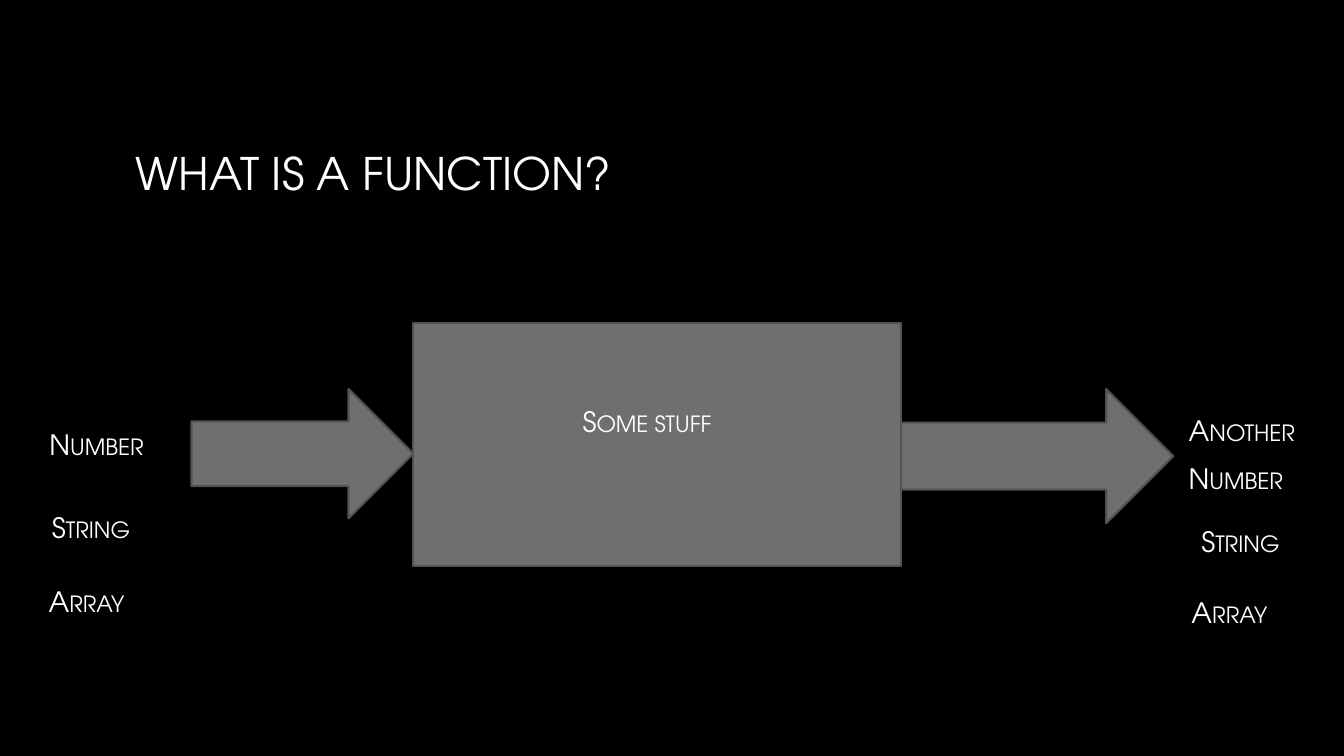
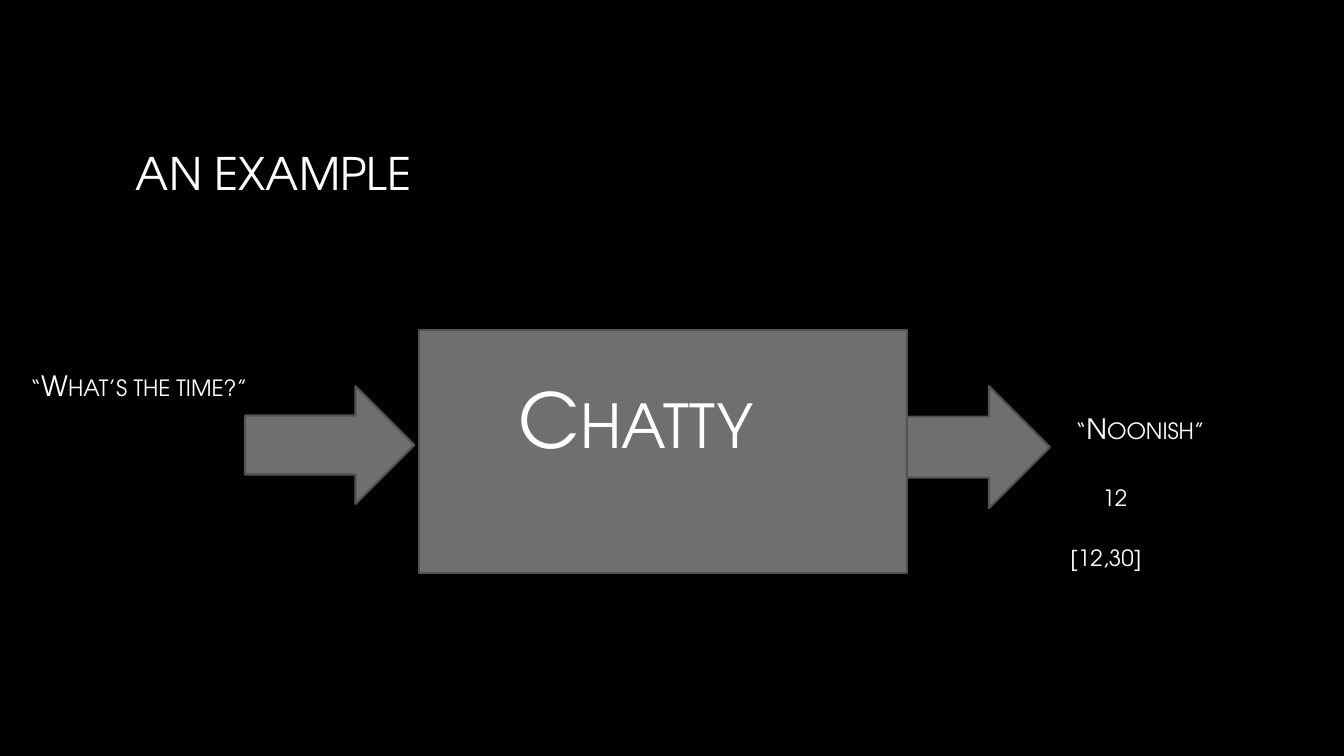
"""Build two slides that explain a function as inputs, a box and outputs."""
from dataclasses import dataclass

from pptx import Presentation
from pptx.dml.color import RGBColor
from pptx.enum.shapes import MSO_SHAPE
from pptx.enum.text import MSO_ANCHOR, MSO_AUTO_SIZE
from pptx.util import Pt


@dataclass(frozen=True)
class Theme:
    font: str = "TeX Gyre Adventor"
    background: RGBColor = RGBColor(0x00, 0x00, 0x00)
    text: RGBColor = RGBColor(0xFF, 0xFF, 0xFF)
    fill: RGBColor = RGBColor(0x6F, 0x6F, 0x6F)
    outline: RGBColor = RGBColor(0x52, 0x52, 0x52)
    outline_width: float = 1.5
    title_size: int = 32
    label_size: int = 20
    name_size: int = 54
    before_ratio: float = 0.2
    space_after: int = 6


THEME = Theme()
SLIDE_SIZE = (960, 540)
TITLE_AREA = (90, 48, 780, 150)
BOX_SIZE = (348.5, 173.5)
LABEL_SIZE = (142, 79)

SLIDES = [
    {
        "title": "WHAT IS A FUNCTION?",
        "box": (295.2, 231),
        "arrow_top": 277.9,
        "arrow_in": {"gap": 0, "size": (158.4, 92.4)},
        "arrow_out": {"size": (194.4, 95.8)},
        "name": ("Some stuff", (409, 261.4, *LABEL_SIZE), THEME.label_size),
        "labels": [
            ("Number", (28.2, 278, *LABEL_SIZE)),
            ("String", (30, 337, *LABEL_SIZE)),
            ("Array", (27.6, 389.7, *LABEL_SIZE)),
            ("Another\nNumber", (842, 285, *LABEL_SIZE)),
            ("String", (851, 347.2, *LABEL_SIZE)),
            ("Array", (844, 397.5, *LABEL_SIZE)),
        ],
    },
    {
        "title": "AN EXAMPLE",
        "box": (299.3, 235.8),
        "arrow_top": 275.8,
        "arrow_in": {"gap": 3.3, "size": (121, 84.2)},
        "arrow_out": {"size": (102.2, 87.1)},
        "name": ("Chatty", (363.6, 271.4, 205.2, 55.4), THEME.name_size),
        "labels": [
            ("“What’s the time?”", (14.4, 211, 242.6, 128.9)),
            ("“Noonish”", (761, 252, 133.9, 108)),
            ("12", (780.5, 289.4, 54.7, 128.9)),
            ("[12,30]", (757.4, 364.3, 87.8, 64.8)),
        ],
    },
]


def add_text(page, text, area, *, size, small_caps=True, before=0, after=0):
    frame = page.shapes.add_textbox(*map(Pt, area)).text_frame
    frame.word_wrap = True
    frame.auto_size = MSO_AUTO_SIZE.NONE
    frame.vertical_anchor = MSO_ANCHOR.MIDDLE
    for index, line in enumerate(text.split("\n")):
        para = frame.add_paragraph() if index else frame.paragraphs[0]
        para.space_before = Pt(before)
        para.space_after = Pt(after)
        span = para.add_run()
        span.text = line
        span.font.name = THEME.font
        span.font.size = Pt(size)
        span.font.color.rgb = THEME.text
        if small_caps:
            span._r.get_or_add_rPr().set("cap", "small")


def add_label(page, text, area, size=THEME.label_size):
    add_text(page, text, area, size=size,
             before=size * THEME.before_ratio, after=THEME.space_after)


def add_block(page, kind, area):
    shape = page.shapes.add_shape(kind, *map(Pt, area))
    shape.shadow.inherit = False
    shape.fill.solid()
    shape.fill.fore_color.rgb = THEME.fill
    shape.line.color.rgb = THEME.outline
    shape.line.width = Pt(THEME.outline_width)


def build_page(deck, content):
    page = deck.slides.add_slide(deck.slide_layouts[6])
    add_text(page, content["title"], TITLE_AREA,
             size=THEME.title_size, small_caps=False)

    box_left, box_top = content["box"]
    arrow_top = content["arrow_top"]
    size_in = content["arrow_in"]["size"]
    left_in = box_left - content["arrow_in"]["gap"] - size_in[0]
    left_out = box_left + BOX_SIZE[0]
    add_block(page, MSO_SHAPE.RECTANGLE, (box_left, box_top, *BOX_SIZE))
    add_block(page, MSO_SHAPE.RIGHT_ARROW, (left_in, arrow_top, *size_in))
    add_block(page, MSO_SHAPE.RIGHT_ARROW,
              (left_out, arrow_top, *content["arrow_out"]["size"]))

    add_label(page, *content["name"])
    for text, area in content["labels"]:
        add_label(page, text, area)


def main():
    deck = Presentation()
    deck.slide_width, deck.slide_height = map(Pt, SLIDE_SIZE)
    backdrop = deck.slide_master.background.fill
    backdrop.solid()
    backdrop.fore_color.rgb = THEME.background
    for content in SLIDES:
        build_page(deck, content)
    deck.save("out.pptx")


if __name__ == "__main__":
    main()
